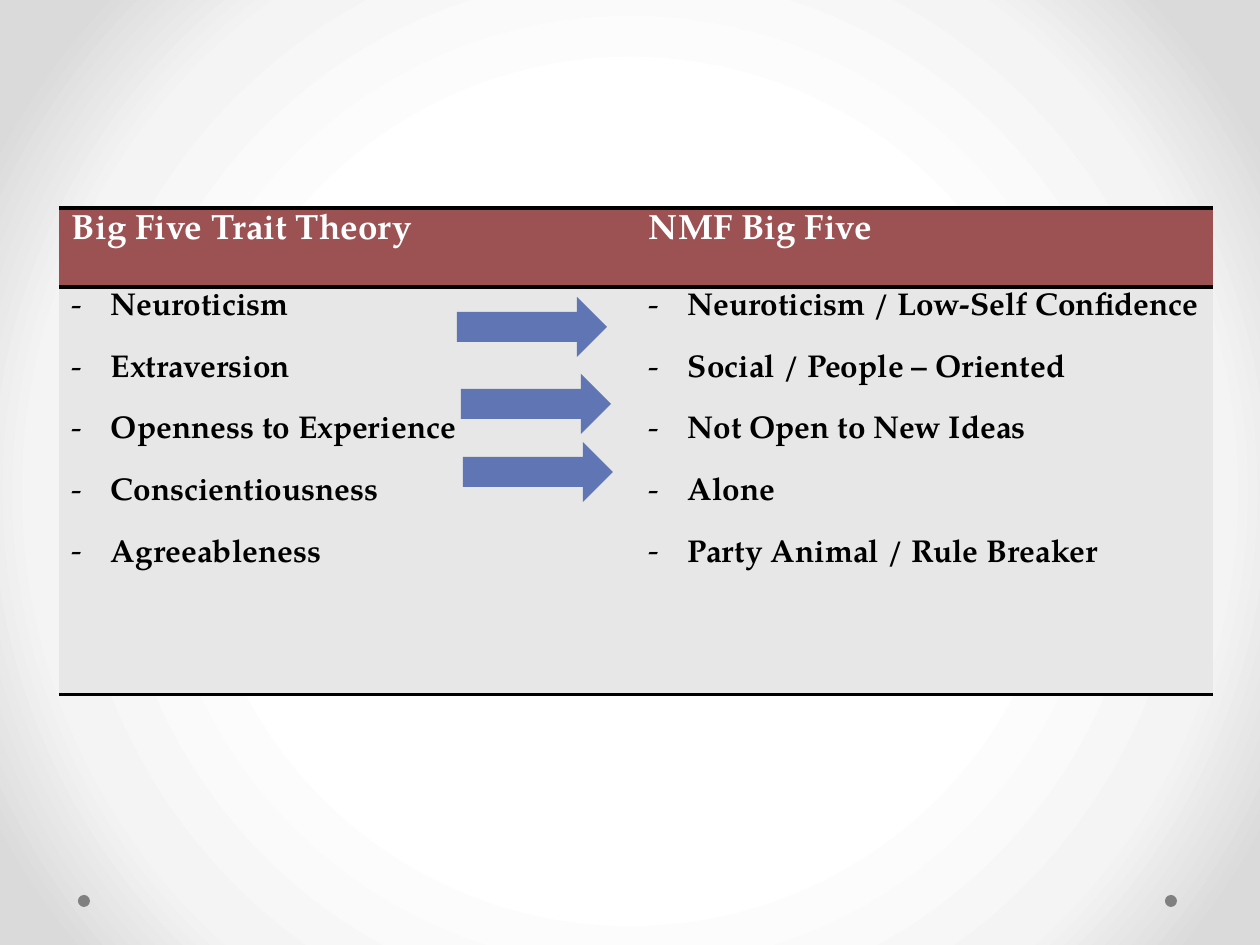
"""Build a slide comparing the Big Five trait theory with the NMF Big Five."""
from lxml import etree
from pptx import Presentation
from pptx.dml.color import RGBColor
from pptx.enum.shapes import MSO_SHAPE
from pptx.oxml import parse_xml
from pptx.oxml.ns import nsdecls, qn
from pptx.util import Pt

COLUMNS = [
    ("Big Five Trait Theory",
     ["Neuroticism", "Extraversion", "Openness to Experience",
      "Conscientiousness", "Agreeableness"]),
    ("NMF Big Five",
     ["Neuroticism / Low-Self Confidence", "Social / People – Oriented",
      "Not Open to New Ideas", "Alone", "Party Animal / Rule Breaker"]),
]
ARROW_CORNERS = [(457, 297), (461, 374), (463, 442)]
DOT_CORNERS = [(78, 895), (1165, 895)]
BACKGROUND_STOPS = [(0, "FFFFFF"), (50, "FFFFFF"), (76, "F4F4F4"),
                    (92, "DADADA"), (100, "DADADA")]

FONT = "TeX Gyre Pagella"
WHITE = RGBColor(0xFF, 0xFF, 0xFF)
BLACK = RGBColor(0, 0, 0)
HEADER_RED = RGBColor(0x9C, 0x52, 0x52)
BODY_GREY = RGBColor(0xE7, 0xE7, 0xE7)
ARROW_BLUE = RGBColor(0x60, 0x76, 0xB4)
DOT_GREY = RGBColor(0x80, 0x80, 0x80)
ARROW, OVAL = MSO_SHAPE.RIGHT_ARROW, MSO_SHAPE.OVAL

SCALE = 914400 / 126
TABLE_LEFT, TABLE_TOP, COLUMN_WIDTH = 59, 208, 577
ROW_HEIGHTS = [79, 408]
CELL_SIDE, CELL_TOP = 13, 6
BULLET_INDENT = 39
TRAIT_GAP = Pt(17.6)
NO_STYLE = "{2D5ABB26-0587-4C30-8999-92F81FD0307C}"


def px(length):
    return round(length * SCALE)


def paint_background(slide):
    stops = "".join(
        f'<a:gs pos="{position * 1000}"><a:srgbClr val="{color}"/></a:gs>'
        for position, color in BACKGROUND_STOPS)
    slide.background.fill.solid()
    solid = slide.background._cSld.find(".//" + qn("a:solidFill"))
    solid.getparent().replace(solid, parse_xml(
        f'<a:gradFill {nsdecls("a")} rotWithShape="1"><a:gsLst>{stops}</a:gsLst>'
        '<a:path path="circle"><a:fillToRect l="50000" t="52000" r="50000" '
        'b="48000"/></a:path></a:gradFill>'))


def add_plain_shape(slide, kind, corner, width, height, color):
    shape = slide.shapes.add_shape(kind, *map(px, (*corner, width, height)))
    shape.shadow.inherit = False
    shape.fill.solid()
    shape.fill.fore_color.rgb = color
    shape.line.fill.background()


def add_text(paragraph, text, size, color):
    run = paragraph.add_run()
    run.text = text
    run.font.name, run.font.size, run.font.bold = FONT, Pt(size), True
    run.font.color.rgb = color


def format_cell(cell, color, edges):
    cell.margin_left = cell.margin_right = px(CELL_SIDE)
    cell.margin_top, cell.margin_bottom = px(CELL_TOP), 0
    cell.fill.solid()
    cell.fill.fore_color.rgb = color
    for index, edge in enumerate(edges):
        cell._tc.tcPr.insert(index, parse_xml(
            f'<a:{edge} {nsdecls("a")} w="25400"><a:solidFill>'
            f'<a:srgbClr val="{BLACK}"/></a:solidFill></a:{edge}>'))


def add_traits(cell, traits):
    frame = cell.text_frame
    for index, trait in enumerate(traits):
        paragraph = frame.add_paragraph() if index else frame.paragraphs[0]
        if index:
            paragraph.space_before = TRAIT_GAP
        properties = paragraph._p.get_or_add_pPr()
        properties.set("marL", str(px(BULLET_INDENT)))
        properties.set("indent", str(-px(BULLET_INDENT)))
        etree.SubElement(properties, qn("a:buFont")).set("typeface", FONT)
        etree.SubElement(properties, qn("a:buChar")).set("char", "-")
        add_text(paragraph, trait, 18, BLACK)


def add_comparison(slide):
    table = slide.shapes.add_table(
        len(ROW_HEIGHTS), len(COLUMNS), px(TABLE_LEFT), px(TABLE_TOP),
        px(COLUMN_WIDTH * len(COLUMNS)), px(sum(ROW_HEIGHTS))).table
    table._tbl.tblPr.find(qn("a:tableStyleId")).text = NO_STYLE
    for row, height in zip(table.rows, ROW_HEIGHTS):
        row.height = px(height)
    for index, (heading, traits) in enumerate(COLUMNS):
        table.columns[index].width = px(COLUMN_WIDTH)
        header, body = table.cell(0, index), table.cell(1, index)
        format_cell(header, HEADER_RED, ["lnT", "lnB"])
        add_text(header.text_frame.paragraphs[0], heading, 20, WHITE)
        format_cell(body, BODY_GREY, ["lnT", "lnB"])
        add_traits(body, traits)


def main():
    presentation = Presentation()
    presentation.slide_width, presentation.slide_height = px(1260), px(945)
    slide = presentation.slides.add_slide(presentation.slide_layouts[6])
    paint_background(slide)
    for corner in DOT_CORNERS:
        add_plain_shape(slide, OVAL, corner, 12, 12, DOT_GREY)
    add_comparison(slide)
    for corner in ARROW_CORNERS:
        add_plain_shape(slide, ARROW, corner, 150, 60, ARROW_BLUE)
    presentation.save("out.pptx")


if __name__ == "__main__":
    main()
